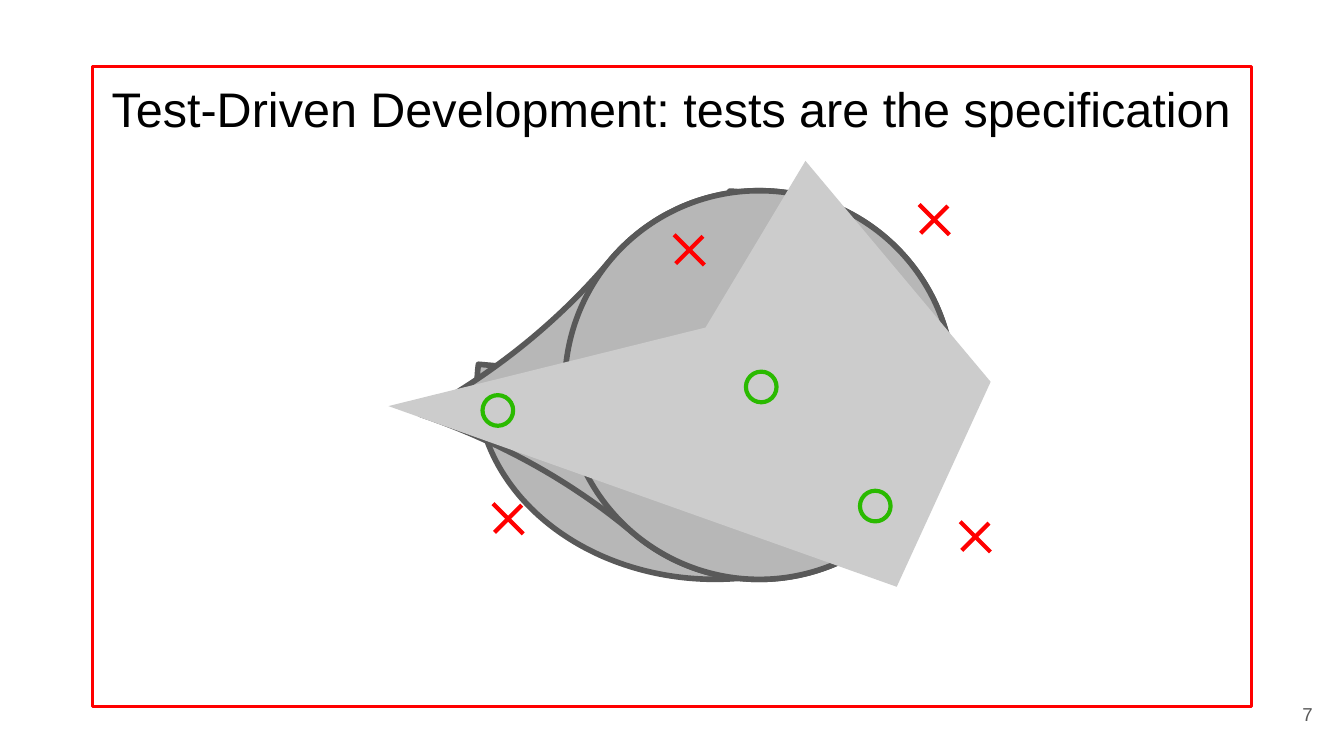
from dataclasses import dataclass
from typing import Optional

import pptx
import pptx.dml.color
import pptx.enum.shapes
import pptx.enum.text
import pptx.oxml
import pptx.util

Pt = pptx.util.Pt
PRESET = pptx.enum.shapes.MSO_SHAPE
ALIGN = pptx.enum.text.PP_ALIGN
ANCHOR = pptx.enum.text.MSO_ANCHOR

COLORS = {
    "text": "000000",
    "muted": "595959",
    "behavior": "B7B7B7",
    "specification": "CCCCCC",
    "fail": "FF0000",
    "pass": "2ABA00",
}
FONT = "Arial"
MARK_LINE = 2.25
RING_SIZE = 16.4
CROSS_SIZE = 16.2
CROSS_INSET = 0.8


@dataclass(frozen=True)
class Outline:
    preset: PRESET
    left: float
    top: float
    width: float
    height: float
    line: str
    weight: float
    fill: Optional[str] = None
    rotation: float = 0
    adjustments: tuple[float, ...] = ()


@dataclass(frozen=True)
class Point:
    x: float
    y: float


def rgb(name: str) -> pptx.dml.color.RGBColor:
    return pptx.dml.color.RGBColor.from_string(COLORS[name])


def draw_outline(page, item: Outline) -> None:
    shape = page.shapes.add_shape(
        item.preset, Pt(item.left), Pt(item.top), Pt(item.width), Pt(item.height))
    shape.shadow.inherit = False
    shape.rotation = item.rotation
    for index, value in enumerate(item.adjustments):
        shape.adjustments[index] = value
    if item.fill:
        shape.fill.solid()
        shape.fill.fore_color.rgb = rgb(item.fill)
    else:
        shape.fill.background()
    shape.line.color.rgb = rgb(item.line)
    shape.line.width = Pt(item.weight)


def draw_polygon(page, corners: list[Point], fill: str) -> None:
    first, *others = corners
    builder = page.shapes.build_freeform(Pt(first.x), Pt(first.y))
    builder.add_line_segments([(Pt(corner.x), Pt(corner.y)) for corner in others])
    shape = builder.convert_to_shape()
    shape.shadow.inherit = False
    shape.fill.solid()
    shape.fill.fore_color.rgb = rgb(fill)
    shape.line.fill.background()


def draw_cross(page, corner: Point) -> None:
    near, far = CROSS_INSET, CROSS_SIZE - CROSS_INSET
    group = page.shapes.add_group_shape()
    for x1, y1, x2, y2 in ((0, 0, CROSS_SIZE, CROSS_SIZE), (far, near, near, far)):
        stroke = group.shapes.add_connector(
            pptx.enum.shapes.MSO_CONNECTOR.STRAIGHT,
            Pt(corner.x + x1), Pt(corner.y + y1), Pt(corner.x + x2), Pt(corner.y + y2))
        stroke.line.color.rgb = rgb("fail")
        stroke.line.width = Pt(MARK_LINE)
        stroke._element.spPr.append(pptx.oxml.parse_xml(
            '<a:effectLst xmlns:a="http://schemas.openxmlformats.org/drawingml/2006/main"/>'))


def write_text(box, text: str, size: float, color: str, align: ALIGN, anchor: ANCHOR) -> None:
    frame = box.text_frame
    frame.text = text
    frame.word_wrap = True
    frame.auto_size = pptx.enum.text.MSO_AUTO_SIZE.NONE
    frame.vertical_anchor = anchor
    frame.margin_left = frame.margin_right = Pt(7.2)
    frame.margin_top = frame.margin_bottom = Pt(7.2)
    para = frame.paragraphs[0]
    para.alignment = align
    for span in para.runs:
        span.font.name = FONT
        span.font.size = Pt(size)
        span.font.color.rgb = rgb(color)


def main() -> None:
    deck = pptx.Presentation()
    deck.slide_width, deck.slide_height = Pt(720), Pt(405)
    page = deck.slides.add_slide(deck.slide_layouts.get_by_name("Title Only"))

    # Title
    title = page.shapes.title
    title.left, title.top, title.width, title.height = Pt(52.6), Pt(35.3), Pt(643), Pt(45.4)
    write_text(title, "Test-Driven Development: tests are the specification",
               26, "text", ALIGN.LEFT, ANCHOR.TOP)

    # Overlapping behaviors and the frame of all possible ones
    disc = (302.6, 102.2, 208.2, 208.2)
    gray = {"line": "muted", "weight": 3, "fill": "behavior"}
    for item in (
        Outline(PRESET.PIE, 255.6, 102.2, 255, 208.2, **gray, adjustments=(164.59, 111.01)),
        Outline(PRESET.RECTANGLE, 49.7, 35.8, 620.7, 342.8, "fail", 1.5),
        Outline(PRESET.TEAR, *disc, **gray, rotation=220.1, adjustments=(1.24,)),
        Outline(PRESET.OVAL, *disc, **gray),
    ):
        draw_outline(page, item)

    # Area allowed by the tests
    draw_polygon(page, [Point(208.1, 217.6), Point(480.4, 314.4), Point(530.7, 204.6),
                        Point(431.5, 86.2), Point(378, 175.5)], "specification")

    # Failing and passing tests
    for corner in (Point(264.1, 269.8), Point(492.4, 109.6),
                   Point(514.4, 279.5), Point(361.2, 125.8)):
        draw_cross(page, corner)
    for corner in (Point(460.7, 262.9), Point(399.6, 199.1), Point(258.5, 211.7)):
        draw_outline(page, Outline(PRESET.OVAL, corner.x, corner.y, RING_SIZE, RING_SIZE,
                                   "pass", MARK_LINE))

    # Page number
    number = page.shapes.add_textbox(Pt(667.1), Pt(367.2), Pt(43.2), Pt(31))
    write_text(number, "7", 10, "muted", ALIGN.RIGHT, ANCHOR.MIDDLE)

    deck.save("out.pptx")


if __name__ == "__main__":
    main()
